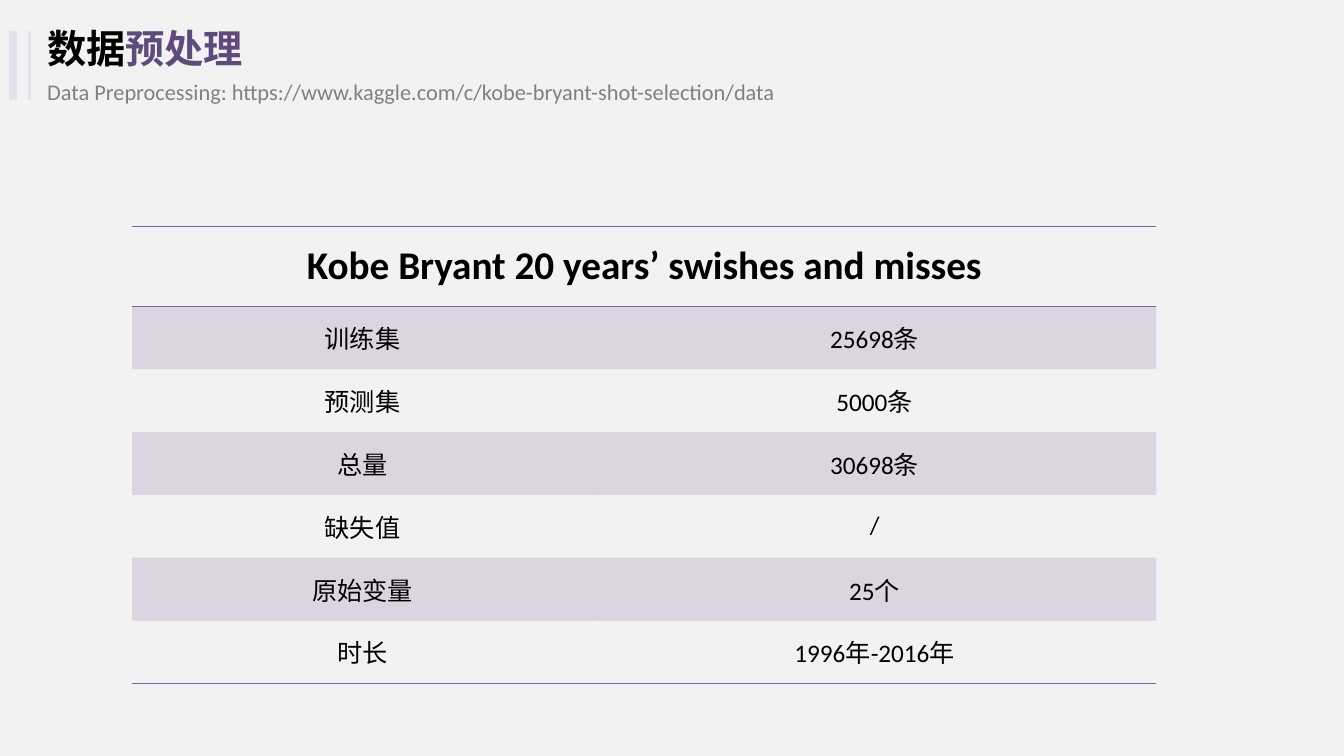
from lxml import etree
from pptx import Presentation
from pptx.dml.color import RGBColor
from pptx.enum.shapes import MSO_CONNECTOR
from pptx.enum.text import MSO_ANCHOR, PP_ALIGN
from pptx.oxml.ns import qn
from pptx.util import Inches, Pt

COLORS = {
    "back": "F2F2F2",
    "ink": "000000",
    "title": "604A7B",
    "gray": "808080",
    "bar": "E6E0EC",
    "violet": "8064A2",
}
LATIN, ASIAN = "Calibri", "Noto Sans CJK JP"
PLAIN = "{2D5ABB26-0587-4C30-8999-92F81FD0307C}"  # table style without lines or fills
HEAD = "Kobe Bryant 20 years’ swishes and misses"
ROWS = [
    ("训练集", "25698条"),
    ("预测集", "5000条"),
    ("总量", "30698条"),
    ("缺失值", "/"),
    ("原始变量", "25个"),
    ("时长", "1996年-2016年"),
]


def rgb(name):
    return RGBColor.from_string(COLORS[name])


def add_text(par, text, size=18, color="ink", bold=False, font=LATIN, align=PP_ALIGN.LEFT):
    par.alignment = align
    run = par.add_run()
    run.text = text
    run.font.size, run.font.bold, run.font.name = Pt(size), bold, font
    run.font.color.rgb = rgb(color)
    asian = etree.SubElement(run.font._element, qn("a:ea"))
    asian.set("typeface", ASIAN)


def place(shape, left, top, width, height):
    shape.left, shape.top = Inches(left), Inches(top)
    shape.width, shape.height = Inches(width), Inches(height)


def add_bar(slide, x, top, height, weight):
    bar = slide.shapes.add_connector(
        MSO_CONNECTOR.STRAIGHT, Inches(x), Inches(top), Inches(x), Inches(top + height))
    bar.line.color.rgb = rgb("bar")
    bar.line.width = Pt(weight)
    etree.SubElement(bar._element.spPr, qn("a:effectLst"))


def add_header(slide, left, top, width, height):
    # Accent bars
    for shift, weight in ((0, 6), (0.16, 2.25)):
        add_bar(slide, left + shift, top + 0.1, 0.68, weight)

    # Two-tone title
    title = slide.shapes.title
    place(title, left + 0.24, top, width - 0.24, 0.52)
    frame = title.text_frame
    frame.word_wrap = True
    frame.vertical_anchor = MSO_ANCHOR.MIDDLE
    for text, color in (("数据", "ink"), ("预处理", "title")):
        add_text(frame.paragraphs[0], text, size=28, color=color, bold=True, font=ASIAN)

    # Data source
    note = slide.shapes.add_textbox(0, 0, 0, 0)
    place(note, left + 0.24, top + 0.52, 8.4, height - 0.52)
    note.text_frame.word_wrap = True
    add_text(note.text_frame.paragraphs[0],
             "Data Preprocessing: https://www.kaggle.com/c/kobe-bryant-shot-selection/data",
             size=16, color="gray")


def add_rule(cell, side):
    line = etree.SubElement(cell._tc.get_or_add_tcPr(), qn(f"a:ln{side}"), w=str(Pt(1)))
    fill = etree.SubElement(line, qn("a:solidFill"))
    etree.SubElement(fill, qn("a:srgbClr"), val=COLORS["violet"])


def tint(cell, percent):
    cell.fill.solid()
    cell.fill.fore_color.rgb = rgb("violet")
    shade = cell._tc.tcPr.find(qn("a:solidFill"))[0]
    etree.SubElement(shade, qn("a:alpha"), val=str(percent * 1000))


def fill_cell(cell, text, **style):
    cell.vertical_anchor = MSO_ANCHOR.MIDDLE
    add_text(cell.text_frame.paragraphs[0], text, align=PP_ALIGN.CENTER, **style)


def add_facts(slide, left, top, width, height):
    count = len(ROWS)
    table = slide.shapes.add_table(
        count + 1, 2, Inches(left), Inches(top), Inches(width), Inches(height)).table
    table._tbl.tblPr.find(qn("a:tableStyleId")).text = PLAIN
    table.first_row = table.horz_banding = False

    # Column and row sizes
    first, head = 4.57, 0.79
    table.columns[0].width = Inches(first)
    table.columns[1].width = Inches(width - first)
    table.rows[0].height = Inches(head)
    for row in range(1, count + 1):
        table.rows[row].height = Inches((height - head) / count)

    # Rules above and below the heading, and at the foot
    for col in range(2):
        add_rule(table.cell(0, col), "T")
        add_rule(table.cell(0, col), "B")
        add_rule(table.cell(count, col), "B")

    # Heading across both columns
    table.cell(0, 0).merge(table.cell(0, 1))
    fill_cell(table.cell(0, 0), HEAD, size=28, bold=True)
    table.cell(0, 0).fill.background()

    # Banded rows
    for row, texts in enumerate(ROWS, 1):
        for col, text in enumerate(texts):
            cell = table.cell(row, col)
            fill_cell(cell, text)
            if row % 2:
                tint(cell, 20)
            else:
                cell.fill.background()


def main():
    deck = Presentation()
    deck.slide_width, deck.slide_height = Inches(13.33), Inches(7.5)
    slide = deck.slides.add_slide(deck.slide_layouts[5])
    slide.background.fill.solid()
    slide.background.fill.fore_color.rgb = rgb("back")
    add_header(slide, 0.13, 0.21, 9.58, 1.07)
    add_facts(slide, 1.31, 2.25, 10.16, 4.53)
    deck.save("out.pptx")


if __name__ == "__main__":
    main()
